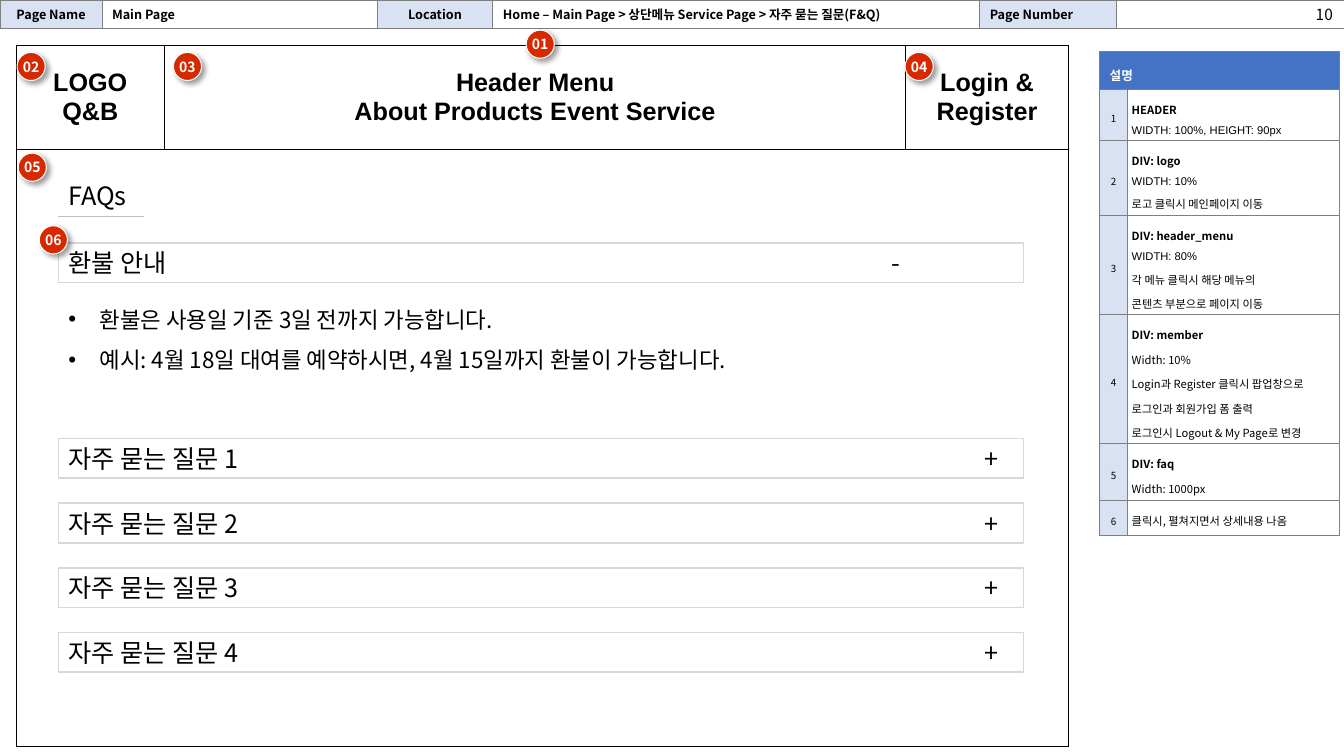
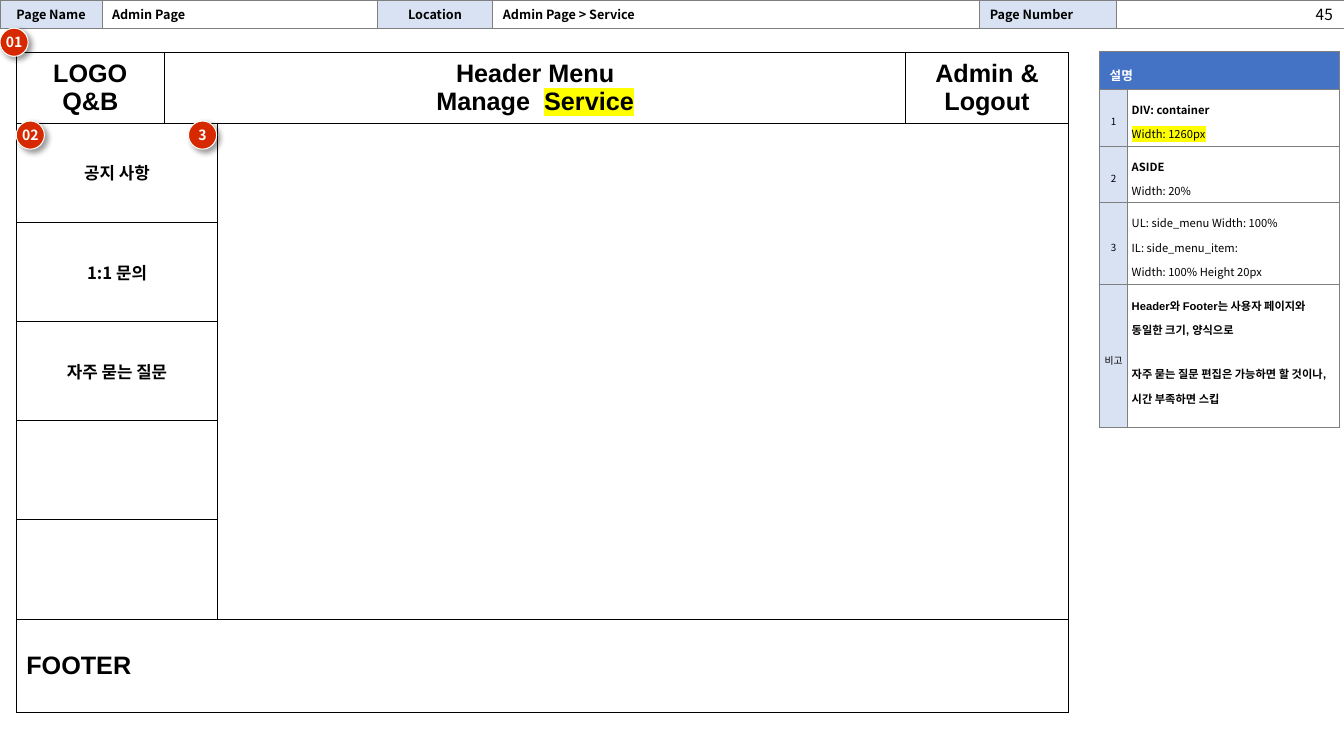
from lxml import etree
from pptx import Presentation
from pptx.dml.color import RGBColor
from pptx.enum import shapes, text as text_enum
from pptx.oxml import ns
from pptx.util import Cm, Pt

BLACK = RGBColor(0x00, 0x00, 0x00)
WHITE = RGBColor(0xFF, 0xFF, 0xFF)
GRAY = RGBColor(0x7F, 0x7F, 0x7F)
RULE_GRAY = RGBColor(0xBF, 0xBF, 0xBF)
LIGHT_GRAY = RGBColor(0xD8, 0xD8, 0xD8)
PALE_BLUE = RGBColor(0xD8, 0xE2, 0xF3)
BLUE = RGBColor(0x44, 0x72, 0xC4)
RED = RGBColor(0xD6, 0x29, 0x00)
YELLOW = RGBColor(0xFF, 0xFF, 0x00)

KOREAN = "Noto Sans CJK KR"
LATIN = "Arial"
LEFT = text_enum.PP_ALIGN.LEFT
CENTER = text_enum.PP_ALIGN.CENTER
RIGHT = text_enum.PP_ALIGN.RIGHT
TOP = text_enum.MSO_ANCHOR.TOP
MIDDLE = text_enum.MSO_ANCHOR.MIDDLE

SLIDE_WIDTH, SLIDE_HEIGHT = 33.87, 19.05
STRIP_COLUMNS = (2.57, 6.93, 2.92, 12.27, 3.45, 5.73)
BADGE_SIZE = 0.71

BOLD = {"bold": True}
PLAIN = {}
ARIAL = {"font": LATIN}
MARKED = {"highlight": YELLOW}
HEADING = {"size": 18, "bold": True, "font": LATIN}


def add_element(parent, tag, **attributes):
    element = etree.SubElement(parent, ns.qn(tag))
    for name, value in attributes.items():
        element.set(name, str(value))
    return element


def write(frame, text, size=18, bold=False, color=BLACK, font=KOREAN, align=LEFT,
          spacing=None, before=0, highlight=None, tab=None, continue_line=False):
    paragraph = frame.paragraphs[-1]
    if paragraph.runs and not continue_line:
        paragraph = frame.add_paragraph()
    if not continue_line:
        paragraph.alignment = align
        paragraph.space_before = Pt(before)
        if spacing:
            paragraph.line_spacing = spacing
        if tab:
            tabs = add_element(paragraph._p.get_or_add_pPr(), "a:tabLst")
            add_element(tabs, "a:tab", pos=Cm(tab), algn="l")
    run = paragraph.add_run()
    run.text = text
    run.font.size = Pt(size)
    run.font.bold = bold
    run.font.color.rgb = color
    run.font.name = font
    properties = run._r.get_or_add_rPr()
    latin = properties.find(ns.qn("a:latin"))
    latin.addnext(add_element(properties, "a:ea", typeface=KOREAN))
    if highlight:
        mark = add_element(properties, "a:highlight")
        add_element(mark, "a:srgbClr", val=highlight)
        latin.addprevious(mark)
    return paragraph


def add_grid(slide, left, top, columns, rows, border):
    table = slide.shapes.add_table(
        len(rows), len(columns), Cm(left), Cm(top), Cm(sum(columns)), Cm(sum(rows))).table
    table.first_row = False
    table.horz_banding = False
    for column, width in zip(table.columns, columns):
        column.width = Cm(width)
    for row, height in zip(table.rows, rows):
        row.height = Cm(height)
    for cell in table.iter_cells():
        properties = cell._tc.get_or_add_tcPr()
        for side in ("a:lnL", "a:lnR", "a:lnT", "a:lnB"):
            line = add_element(properties, side, w=Pt(0.75))
            add_element(add_element(line, "a:solidFill"), "a:srgbClr", val=border)
        cell.fill.background()
        cell.vertical_anchor = MIDDLE
    return table


def fill_cell(cell, color):
    cell.fill.solid()
    cell.fill.fore_color.rgb = color


def set_margins(target, horizontal, vertical):
    target.margin_left = target.margin_right = Cm(horizontal)
    target.margin_top = target.margin_bottom = Cm(vertical)


def add_page_strip(slide, page, location, number):
    table = add_grid(slide, 0, 0, STRIP_COLUMNS, (0.7,), GRAY)
    labels = ("Page Name", page, "Location", location, "Page Number")
    for index, label in enumerate(labels):
        cell = table.cell(0, index)
        fill_cell(cell, WHITE if index % 2 else PALE_BLUE)
        write(cell.text_frame, label, size=9, bold=True,
              align=CENTER if index in (0, 2) else LEFT)
    last = table.cell(0, len(labels))
    fill_cell(last, WHITE)
    last.text_frame.paragraphs[0]._p.get_or_add_endParaRPr().set("sz", "900")
    width = STRIP_COLUMNS[-1]
    box = slide.shapes.add_textbox(Cm(SLIDE_WIDTH - width - 0.03), Cm(0), Cm(width), Cm(0.64))
    box.text_frame.word_wrap = True
    write(box.text_frame, number, size=11, align=RIGHT)


def add_notes(slide, left, top, notes):
    heights = [0.95] + [height for _, height, _ in notes]
    table = add_grid(slide, left, top, (0.71, 5.33), heights, GRAY)
    table.cell(0, 0).merge(table.cell(0, 1))
    fill_cell(table.cell(0, 0), BLUE)
    write(table.cell(0, 0).text_frame, "설명", size=9, bold=True, color=WHITE, spacing=1.5)
    for row, (label, _, lines) in enumerate(notes, 1):
        index_cell, note_cell = table.cell(row, 0), table.cell(row, 1)
        fill_cell(index_cell, PALE_BLUE)
        set_margins(index_cell, 0, 0.13)
        write(index_cell.text_frame, label, size=7, align=CENTER, spacing=1.5)
        fill_cell(note_cell, WHITE)
        set_margins(note_cell, 0.1, 0.1)
        note_cell.vertical_anchor = TOP
        for line, style in lines:
            write(note_cell.text_frame, line, size=8, spacing=1.5, **style)


def add_badges(slide, badges):
    for label, left, top in badges:
        badge = slide.shapes.add_shape(shapes.MSO_SHAPE.OVAL, Cm(left), Cm(top),
                                       Cm(BADGE_SIZE), Cm(BADGE_SIZE))
        badge.fill.solid()
        badge.fill.fore_color.rgb = RED
        badge.line.color.rgb = WHITE
        badge.line.width = Pt(0.75)
        badge.shadow.inherit = False
        effects = badge._element.spPr.find(ns.qn("a:effectLst"))
        shadow = add_element(effects, "a:outerShdw", blurRad=Pt(4), dist=Pt(3),
                             dir=45 * 60000, algn="tl", rotWithShape=0)
        shade = add_element(shadow, "a:srgbClr", val=BLACK)
        add_element(shade, "a:alpha", val=40000)
        set_margins(badge.text_frame, 0, 0)
        badge.text_frame.vertical_anchor = MIDDLE
        badge.text_frame.word_wrap = False
        write(badge.text_frame, label, size=10, bold=True, color=WHITE, align=CENTER)


def write_header(cells, headings):
    for cell, lines in zip(cells, headings):
        for line in lines:
            write(cell.text_frame, line, align=CENTER, **HEADING)


def place_placeholder(placeholder, left, top, width, height):
    placeholder.left, placeholder.top = Cm(left), Cm(top)
    placeholder.width, placeholder.height = Cm(width), Cm(height)
    frame = placeholder.text_frame
    frame.word_wrap = True
    frame.auto_size = text_enum.MSO_AUTO_SIZE.NONE
    frame.vertical_anchor = TOP
    set_margins(frame, 0.25, 0.13)
    return frame


def add_accordion_item(slide, left, top, width, label, sign, sign_position):
    item = slide.shapes.add_shape(shapes.MSO_SHAPE.RECTANGLE, Cm(left), Cm(top),
                                  Cm(width), Cm(1))
    item.fill.solid()
    item.fill.fore_color.rgb = WHITE
    item.line.color.rgb = LIGHT_GRAY
    item.line.width = Pt(1)
    item.shadow.inherit = False
    item.text_frame.vertical_anchor = MIDDLE
    write(item.text_frame, f"{label}\t{sign}", tab=sign_position)


def add_faq_panel(slide, left, top, width):
    title = place_placeholder(slide.shapes.title, left, top, 6.96, 1.02)
    write(title, "FAQs")
    rule = slide.shapes.add_connector(shapes.MSO_CONNECTOR.STRAIGHT, Cm(left), Cm(top + 1.04),
                                      Cm(left + 2.16), Cm(top + 1.04))
    rule.line.color.rgb = RULE_GRAY
    rule.line.width = Pt(0.75)
    add_element(rule._element.spPr, "a:effectLst")
    add_accordion_item(slide, left, top + 1.7, width, "환불 안내", "-", 20.75)
    answer = place_placeholder(slide.placeholders[1], left, top + 2.82, width, 3.68)
    for line in ("환불은 사용일 기준 3일 전까지 가능합니다.",
                 "예시: 4월 18일 대여를 예약하시면, 4월 15일까지 환불이 가능합니다."):
        properties = write(answer, line, size=16, spacing=1.5)._p.get_or_add_pPr()
        properties.set("marL", str(Cm(0.79)))
        properties.set("indent", str(Cm(-0.79)))
    for index in range(4):
        add_accordion_item(slide, left, top + 6.63 + 1.63 * index, width,
                           f"자주 묻는 질문 {index + 1}", "+", 23.1)


def build_faq_slide(presentation):
    slide = presentation.slides.add_slide(presentation.slide_layouts[1])
    add_page_strip(slide, "Main Page",
                   "Home – Main Page > 상단메뉴 Service Page > 자주 묻는 질문(F&Q)", "10")
    add_notes(slide, 27.71, 1.3, (
        ("1", 1.28, (("HEADER", BOLD), ("WIDTH: 100%, HEIGHT: 90px", ARIAL))),
        ("2", 1.9, (("DIV: logo", BOLD), ("WIDTH: 10%", ARIAL),
                    ("로고 클릭시 메인페이지 이동", ARIAL))),
        ("3", 2.5, (("DIV: header_menu", BOLD), ("WIDTH: 80%", ARIAL),
                    ("각 메뉴 클릭시 해당 메뉴의", ARIAL),
                    ("콘텐츠 부분으로 페이지 이동", ARIAL))),
        ("4", 3.25, (("DIV: member", BOLD), ("Width: 10%", PLAIN),
                     ("Login과 Register 클릭시 팝업창으로", PLAIN),
                     ("로그인과 회원가입 폼 출력", PLAIN),
                     ("로그인시 Logout & My Page로 변경", PLAIN))),
        ("5", 1.43, (("DIV: faq", BOLD), ("Width: 1000px", PLAIN))),
        ("6", 0.88, (("클릭시, 펼쳐지면서 상세내용 나옴", PLAIN),)),
    ))
    wireframe = add_grid(slide, 0.41, 1.14, (3.73, 18.69, 4.09), (2.62, 15.04), BLACK)
    wireframe.cell(1, 0).merge(wireframe.cell(1, 2))
    write_header(wireframe.rows[0].cells, (
        ("LOGO", "Q&B"),
        ("Header Menu", "About Products Event Service"),
        ("Login &", "Register")))
    add_faq_panel(slide, 1.47, 4.42, 24.33)
    add_badges(slide, (("01", 13.26, 0.76), ("02", 0.43, 1.32), ("03", 4.37, 1.32),
                       ("04", 22.81, 1.32), ("05", 0.46, 3.86), ("06", 0.99, 5.69)))


def build_admin_slide(presentation):
    slide = presentation.slides.add_slide(presentation.slide_layouts[6])
    add_page_strip(slide, "Admin Page", "Admin Page > Service", "45")
    menu = ("공지 사항", "1:1 문의", "자주 묻는 질문", "", "")
    footer_row = len(menu) + 1
    wireframe = add_grid(slide, 0.41, 1.32, (3.73, 1.35, 17.34, 4.09),
                         (1.68, *[2.5] * len(menu), 2.36), BLACK)
    wireframe.cell(0, 1).merge(wireframe.cell(0, 2))
    wireframe.cell(1, 2).merge(wireframe.cell(footer_row - 1, 3))
    wireframe.cell(footer_row, 0).merge(wireframe.cell(footer_row, 3))
    write_header([wireframe.cell(0, column) for column in (0, 1, 3)], (
        ("LOGO", "Q&B"), ("Header Menu", "Manage  "), ("Admin &", "Logout")))
    write(wireframe.cell(0, 1).text_frame, "Service", highlight=YELLOW,
          continue_line=True, **HEADING)
    for row, label in enumerate(menu, 1):
        wireframe.cell(row, 0).merge(wireframe.cell(row, 1))
        if label:
            write(wireframe.cell(row, 0).text_frame, label, size=12, bold=True, align=CENTER)
    write(wireframe.cell(footer_row, 0).text_frame, "FOOTER", **HEADING)
    add_notes(slide, 27.71, 1.3, (
        ("1", 1.43, (("DIV: container", BOLD), ("Width: 1260px", MARKED))),
        ("2", 1.43, (("ASIDE", BOLD), ("Width: 20%", PLAIN))),
        ("3", 2.07, (("UL: side_menu Width: 100%", PLAIN), ("IL: side_menu_item:", PLAIN),
                     ("Width: 100% Height 20px", PLAIN))),
        ("비고", 3.6, (
            ("Header와 Footer는 사용자 페이지와 동일한 크기, 양식으로", BOLD | ARIAL),
            ("자주 묻는 질문 편집은 가능하면 할 것이나, 시간 부족하면 스킵",
             BOLD | ARIAL | {"before": 14}))),
    ))
    add_badges(slide, (("01", 0, 0.71), ("02", 0.41, 3.05), ("3", 4.75, 3.05)))


def main():
    presentation = Presentation()
    presentation.slide_width = Cm(SLIDE_WIDTH)
    presentation.slide_height = Cm(SLIDE_HEIGHT)
    build_faq_slide(presentation)
    build_admin_slide(presentation)
    presentation.save("out.pptx")


if __name__ == "__main__":
    main()
